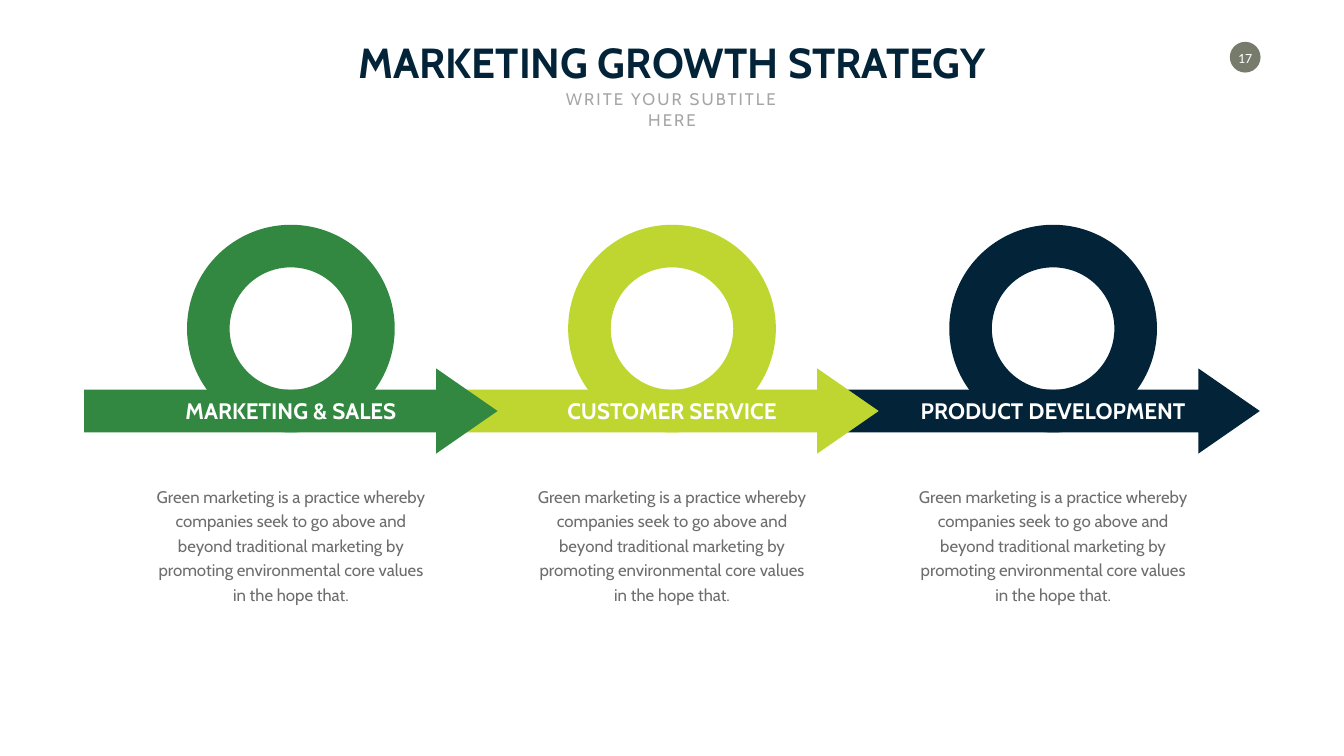
import pptx
import pptx.util
import pptx.dml.color
import pptx.enum.shapes
import pptx.enum.text

Inch = pptx.util.Inches
Pt = pptx.util.Pt
Kind = pptx.enum.shapes.MSO_SHAPE
Anchor = pptx.enum.text.MSO_ANCHOR

wide, high = 26.66, 15
mid = wide / 2
step = 7.56
body = ("Green marketing is a practice whereby companies seek to go above and "
        "beyond traditional marketing by promoting environmental core values "
        "in the hope that.")
steps = [("MARKETING & SALES", "328840"),
         ("CUSTOMER SERVICE", "BED62F"),
         ("PRODUCT DEVELOPMENT", "022338")]
cols = [(mid + (i - 1) * step, name, tint) for i, (name, tint) in enumerate(steps)]

deck = pptx.Presentation()
deck.slide_width, deck.slide_height = Inch(wide), Inch(high)
slide = deck.slides.add_slide(deck.slide_layouts[6])


def paint(fill, tint):
    fill.solid()
    fill.fore_color.rgb = pptx.dml.color.RGBColor.from_string(tint)


def put(x, top, w, h, tint, kind=None, adjust=(), text="", line=None,
        anchor=Anchor.TOP, inset=None, gap=None, **form):
    box = tuple(Inch(v) for v in (x - w / 2, top, w, h))
    if kind is None:
        frame = slide.shapes.add_textbox(*box).text_frame
        frame.word_wrap = True
        frame.vertical_anchor = anchor
        if inset is not None:
            for side in ("left", "right", "top", "bottom"):
                setattr(frame, "margin_" + side, inset)
        para = frame.paragraphs[0]
        para.alignment = pptx.enum.text.PP_ALIGN.CENTER
        para.line_spacing = line
        run = para.add_run()
        run.text = text
        for key, value in form.items():
            setattr(run.font, key, value)
        paint(run.font.fill, tint)
        if gap:
            run.font._element.set("spc", str(gap))
        return
    shape = slide.shapes.add_shape(kind, *box)
    shape.shadow.inherit = False
    shape.line.fill.background()
    paint(shape.fill, tint)
    for i, value in enumerate(adjust):
        shape.adjustments[i] = value


paint(slide.background.fill, "FEFFFE")

badge = wide - 1.96
put(badge, 0.83, 0.61, 0.61, "767B6C", Kind.OVAL)
put(badge, 0.97, 0.41, 0.34, "FFFFFF", text="17", anchor=Anchor.MIDDLE,
    inset=0, name="Calibri", size=Pt(20))
put(mid, 0.67, 13.76, 1.11, "022338", text="MARKETING GROWTH STRATEGY",
    name="Cabin", size=Pt(60), bold=True)
put(mid, 1.72, 5.3, 0.9, "A6A6A6", text="WRITE YOUR SUBTITLE HERE",
    gap=300, name="Cabin", size=Pt(24))

for x, name, tint in cols:
    put(x, 4.46, 4.12, 4.12, tint, Kind.DONUT, (0.205,))
for x, name, tint in reversed(cols):
    put(x, 7.31, 8.2, 1.69, tint, Kind.RIGHT_ARROW, (0.5, 0.721))
for x, name, tint in cols:
    put(x, 7.83, 5.78, 0.64, "FFFFFF", text=name, anchor=Anchor.MIDDLE,
        name="Cabin", size=Pt(32), bold=True)
    put(x, 9.52, 5.78, 2.5, "6D6D6F", text=body, line=Pt(35),
        name="Cabin", size=Pt(24))

deck.save("out.pptx")
